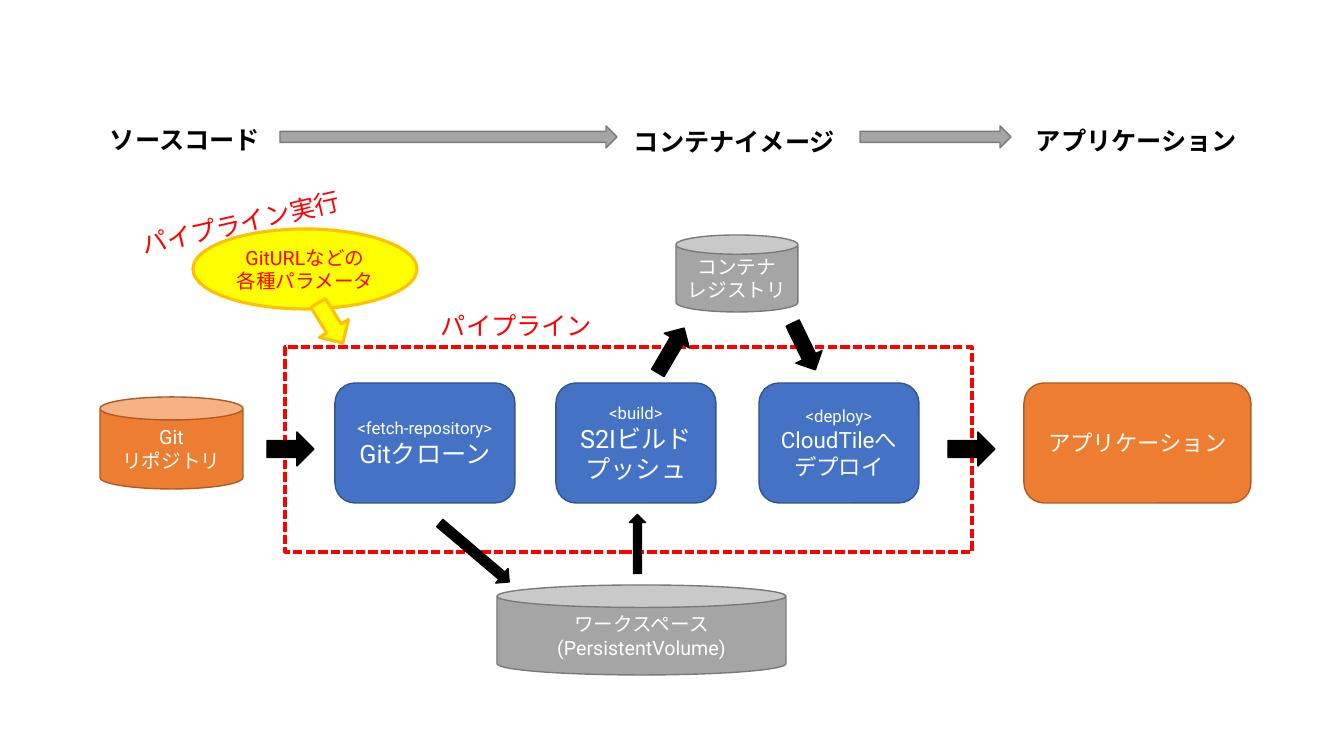
from dataclasses import dataclass

from pptx import Presentation
from pptx.dml.color import RGBColor
from pptx.enum.dml import MSO_LINE
from pptx.enum.shapes import MSO_SHAPE
from pptx.enum.text import MSO_ANCHOR, PP_ALIGN
from pptx.util import Emu, Pt

RECT = MSO_SHAPE.RECTANGLE
ROUND = MSO_SHAPE.ROUNDED_RECTANGLE
CAN = MSO_SHAPE.CAN
OVAL = MSO_SHAPE.OVAL
ARROW = MSO_SHAPE.RIGHT_ARROW
DASH = MSO_LINE.SQUARE_DOT
MIDDLE = MSO_ANCHOR.MIDDLE
CENTER = PP_ALIGN.CENTER
LEFT = PP_ALIGN.LEFT
SCALE = 914400 / 100.8


@dataclass(frozen=True)
class Theme:
    font: str = "Roboto"
    white: str = "FFFFFF"
    black: str = "000000"
    red: str = "FF0000"
    blue: tuple = ("4472C4", "325491")
    orange: tuple = ("ED7D31", "AF5C24")
    gray: tuple = ("A5A5A5", "7A7A7A")
    dark: tuple = ("000000", "000000")
    yellow: tuple = ("FFFF00", "FFC000")
    frame: tuple = (None, "FF0000")
    tag: int = 12
    note: int = 14
    body: int = 16
    head: int = 18
    thin: float = 1
    thick: float = 2.25


THEME = Theme()


def px(num):
    return Emu(round(num * SCALE))


def write(frame, lines, color, align, bold=False):
    frame.word_wrap = True
    for i, (text, size) in enumerate(lines):
        para = frame.paragraphs[0] if i == 0 else frame.add_paragraph()
        para.alignment = align
        run = para.add_run()
        run.text = text
        font = run.font
        font.name = THEME.font
        font.size = Pt(size)
        font.bold = bold
        font.color.rgb = RGBColor.from_string(color)


def add_form(slide, kind, box, paint, width=THEME.thin, turn=0):
    shape = slide.shapes.add_shape(kind, *map(px, box))
    shape.shadow.inherit = False
    shape.rotation = turn
    fill, line = paint
    if fill:
        shape.fill.solid()
        shape.fill.fore_color.rgb = RGBColor.from_string(fill)
    else:
        shape.fill.background()
    shape.line.color.rgb = RGBColor.from_string(line)
    shape.line.width = Pt(width)
    return shape


def add_node(slide, kind, box, paint, lines, color=THEME.white, width=THEME.thin):
    shape = add_form(slide, kind, box, paint, width)
    shape.text_frame.vertical_anchor = MIDDLE
    write(shape.text_frame, lines, color, CENTER)


def add_label(slide, text, box, color, bold=False, turn=0):
    label = slide.shapes.add_textbox(*map(px, box))
    label.rotation = turn
    write(label.text_frame, [(text, THEME.head)], color, LEFT, bold)


def add_tasks(slide):
    t = THEME
    tasks = [
        (335, 180, [("<fetch-repository>", t.tag), ("Gitクローン", t.head)]),
        (556, 160, [("<build>", t.tag), ("S2Iビルド", t.head), ("プッシュ", t.head)]),
        (759, 160, [("<deploy>", t.tag), ("CloudTileへデプロイ", t.body)]),
    ]
    for left, width, lines in tasks:
        add_node(slide, ROUND, (left, 383, width, 120), t.blue, lines)
    add_node(slide, ROUND, (1024, 383, 227, 120), t.orange,
             [("アプリケーション", t.body)])


def add_stores(slide):
    stores = [
        ((497, 585, 289, 90), THEME.gray, ("ワークスペース", "(PersistentVolume)")),
        ((100, 397, 143, 92), THEME.orange, ("Git", "リポジトリ")),
        ((676, 235, 122, 77), THEME.gray, ("コンテナ", "レジストリ")),
    ]
    for box, paint, words in stores:
        add_node(slide, CAN, box, paint, [(word, THEME.note) for word in words])


def add_flow(slide):
    arrows = [
        ((267, 432, 47, 34), 0),
        ((778, 332, 52, 29), 64.1),
        ((645, 336, 52, 29), 300.4),
        ((429, 543, 91, 19), 40.3),
        ((608, 536, 59, 16), 270),
        ((948, 432, 47, 34), 0),
    ]
    for box, turn in arrows:
        add_form(slide, ARROW, box, THEME.dark, turn=turn)


def add_stages(slide):
    stages = [("ソースコード", 100, 119, 179), ("コンテナイメージ", 624, 121, 244),
              ("アプリケーション", 1026, 120, 244)]
    for text, left, top, width in stages:
        add_label(slide, text, (left, top, width, 40), THEME.black, True)
    for left, width in ((280, 337), (860, 151)):
        add_form(slide, ARROW, (left, 126, width, 22), THEME.gray)


def add_start(slide):
    t = THEME
    add_label(slide, "パイプライン", (431, 305, 179, 40), t.red)
    add_node(slide, OVAL, (193, 229, 224, 80), t.yellow,
             [("GitURLなどの", t.note), ("各種パラメータ", t.note)], t.red, t.thick)
    add_label(slide, "パイプライン実行", (130, 202, 227, 40), t.red, turn=347.1)
    add_form(slide, ARROW, (307, 306, 47, 34), t.yellow, t.thick, 58.3)


def main():
    deck = Presentation()
    deck.slide_width, deck.slide_height = px(1344), px(756)
    slide = deck.slides.add_slide(deck.slide_layouts[6])
    frame = add_form(slide, RECT, (285, 347, 687, 205), THEME.frame, THEME.thick)
    frame.line.dash_style = DASH
    add_tasks(slide)
    add_stores(slide)
    add_flow(slide)
    add_stages(slide)
    add_start(slide)
    deck.save("out.pptx")


if __name__ == "__main__":
    main()
